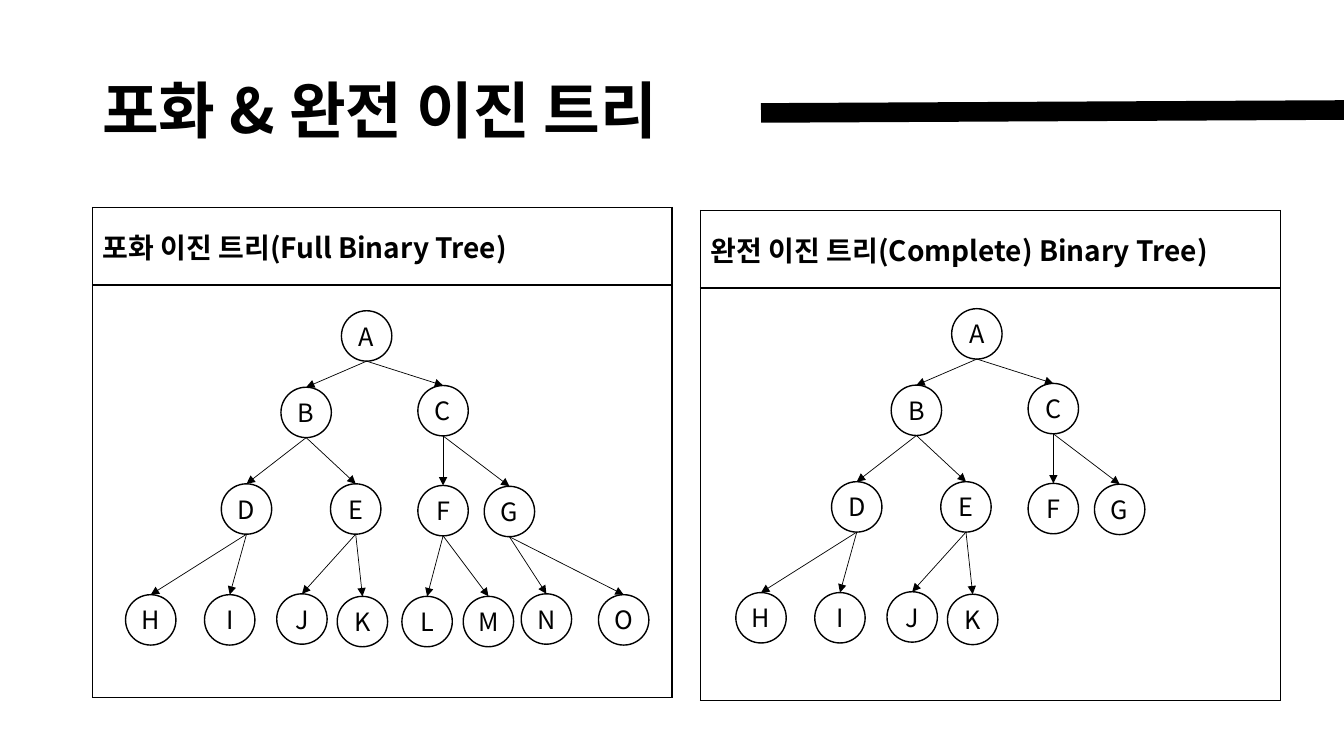
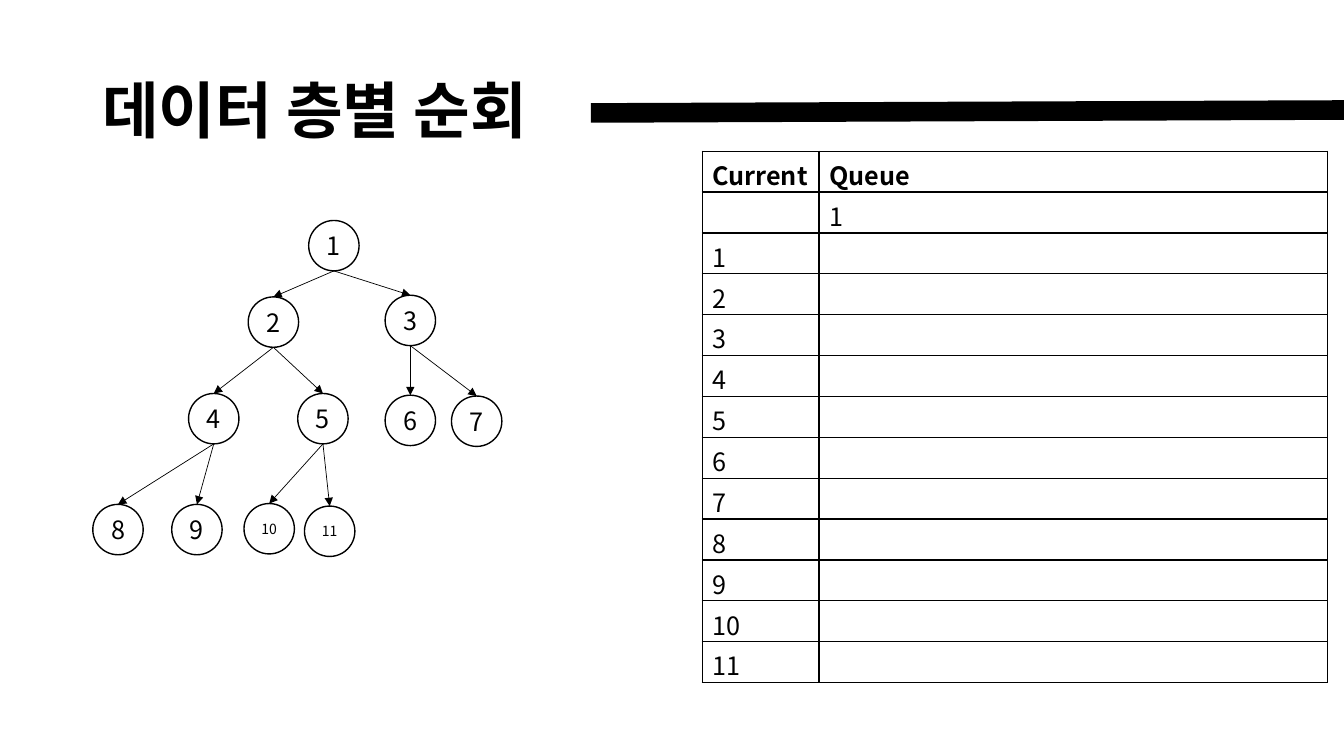
"""Build two slides on binary trees and level-order traversal."""
from dataclasses import dataclass
from typing import Any, NamedTuple

from lxml.etree import SubElement as Sub
from pptx import Presentation as Deck
from pptx.dml.color import RGBColor as Rgb
from pptx.enum.shapes import MSO_CONNECTOR as Link, MSO_SHAPE as Form
from pptx.enum.text import MSO_ANCHOR as Anchor, PP_ALIGN as Align
from pptx.oxml import parse_xml as to_xml
from pptx.oxml.ns import nsdecls, qn
from pptx.util import Emu, Inches, Pt


@dataclass(frozen=True)
class Theme:
    """Colours, type sizes and line widths."""
    ink: str = "000000"
    font: str = "Noto Sans CJK KR"
    title: float = 44
    head: float = 20
    body: float = 18
    small: float = 10
    band: float = 14
    rule: float = 1
    arrow: float = 0.5


class Spot(NamedTuple):
    """A place on the grid."""
    x: float
    y: float


class Tree(NamedTuple):
    """A heap-ordered tree whose root circle starts at a spot."""
    root: Spot
    names: list[str]


class Chart(NamedTuple):
    """A ruled table with a bold first row."""
    at: Spot
    cols: list[float]
    rows: list[float]
    data: list[list[str]]
    size: float


class Page(NamedTuple):
    """A slide's title and parts."""
    title: str
    width: float
    charts: list[Chart]
    trees: list[Tree]


LOOK = Theme()
WIDE, HIGH = Inches(13.333), Inches(7.5)
COLS = 160
LEFT = 11
NODE = 6
NODES = [Spot(*pair) for pair in (
    (0, 0), (-7.2, 9.1), (9.1, 8.9),
    (-14.3, 20.6), (-1.3, 20.6), (9.1, 20.8), (17, 20.9),
    (-25.7, 33.8), (-16.3, 33.8), (-7.7, 33.7), (-0.5, 34),
    (7.2, 34), (14.5, 34), (21.4, 33.7), (30.6, 33.8))]


def span(count: float) -> Emu:
    """Turn grid units into a length."""
    return Emu(round(WIDE * count / COLS))


def style(item: Any, form: dict[str, Any]) -> None:
    """Set each named format value."""
    for name, value in form.items():
        setattr(item, name, value)


def write(frame: Any, text: str, size: float, bold: bool = False, **form: Any) -> None:
    """Write one styled paragraph."""
    para = frame.paragraphs[0]
    style(para, form)
    run = para.add_run()
    run.text = text
    style(run.font, {"size": Pt(size), "name": LOOK.font, "bold": bold})
    run.font.color.rgb = Rgb.from_string(LOOK.ink)
    Sub(run.font._element, qn("a:ea"), typeface=LOOK.font)


def ink(line: Any, width: float) -> None:
    """Give a line its colour and width."""
    line.color.rgb = Rgb.from_string(LOOK.ink)
    line.width = Pt(width)


def join(slide: Any, start: Spot, end: Spot, width: float) -> Any:
    """Draw a straight line without shadow."""
    wire = slide.shapes.add_connector(Link.STRAIGHT, *map(span, (*start, *end)))
    ink(wire.line, width)
    Sub(wire._element.spPr, qn("a:effectLst"))
    return wire


def arrow(slide: Any, high: Any, low: Any) -> None:
    """Join the foot of one circle to the top of another."""
    wire = join(slide, Spot(0, 0), Spot(0, 0), LOOK.arrow)
    wire.begin_connect(high, 2)
    wire.end_connect(low, 0)
    wire._element.find(".//" + qn("a:stCxn")).set("idx", "4")
    Sub(wire.line._get_or_add_ln(), qn("a:tailEnd"), type="triangle")


def node(slide: Any, at: Spot, text: str) -> Any:
    """Draw a labelled circle."""
    ring = slide.shapes.add_shape(Form.OVAL, *map(span, (*at, NODE, NODE)))
    ring.shadow.inherit = False
    ring.fill.background()
    ink(ring.line, LOOK.rule)
    style(ring.text_frame, {
        "margin_left": 0, "margin_right": 0, "margin_top": 0, "margin_bottom": 0,
        "word_wrap": False, "vertical_anchor": Anchor.MIDDLE})
    size = LOOK.small if len(text) > 1 else LOOK.body
    write(ring.text_frame, text, size, alignment=Align.CENTER)
    return ring


def draw_tree(slide: Any, tree: Tree) -> None:
    """Draw the circles, each joined to its parent."""
    root = tree.root
    rings = [node(slide, Spot(root.x + step.x, root.y + step.y), name)
             for step, name in zip(NODES, tree.names)]
    for i, ring in enumerate(rings[1:]):
        arrow(slide, rings[i // 2], ring)


def edge(cell: Any) -> None:
    """Rule all four sides of a cell."""
    cell.fill.background()
    props = cell._tc.get_or_add_tcPr()
    for i, side in enumerate("LRTB"):
        props.insert(i, to_xml(
            f'<a:ln{side} {nsdecls("a")} w="{Pt(LOOK.rule)}"><a:solidFill>'
            f'<a:srgbClr val="{LOOK.ink}"/></a:solidFill></a:ln{side}>'))


def draw_chart(slide: Any, chart: Chart) -> None:
    """Draw a ruled table."""
    sizes = (sum(chart.cols), sum(chart.rows))
    table = slide.shapes.add_table(
        len(chart.rows), len(chart.cols), *map(span, (*chart.at, *sizes))).table
    style(table, {"first_row": False, "horz_banding": False})
    for col, width in zip(table.columns, chart.cols):
        col.width = span(width)
    for r, (row, height) in enumerate(zip(table.rows, chart.rows)):
        row.height = span(height)
        for cell, text in zip(row.cells, chart.data[r]):
            edge(cell)
            cell.vertical_anchor = Anchor.MIDDLE
            if text:
                write(cell.text_frame, text, chart.size, bold=r == 0)


def draw_page(deck: Any, page: Page) -> None:
    """Draw a slide with its title, band and parts."""
    slide = deck.slides.add_slide(deck.slide_layouts[6])
    box = slide.shapes.add_textbox(*map(span, (LEFT, 4.8, page.width, 17.4)))
    style(box.text_frame, {"word_wrap": True, "vertical_anchor": Anchor.MIDDLE})
    write(box.text_frame, page.title, LOOK.title, bold=True, line_spacing=0.9)
    join(slide, Spot(LEFT + page.width, 13.45), Spot(COLS, 13.1), LOOK.band)
    for chart in page.charts:
        draw_chart(slide, chart)
    for tree in page.trees:
        draw_tree(slide, tree)


def panel(x: float, y: float, text: str) -> Chart:
    """Make a titled panel for a tree."""
    return Chart(Spot(x, y), [69], [9.24, 49.08], [[text], [""]], LOOK.head)


def main() -> None:
    """Build and save the deck."""
    deck = Deck()
    style(deck, {"slide_width": WIDE, "slide_height": HIGH})
    steps = [str(i) for i in range(1, 12)]
    queue = [["Current", "Queue"], ["", "1"], *([step, ""] for step in steps)]
    pages = [
        Page("포화 & 완전 이진 트리", 79.6,
             [panel(LEFT, 24.7, "포화 이진 트리(Full Binary Tree)"),
              panel(83.4, 25.05, "완전 이진 트리(Complete) Binary Tree)")],
             [Tree(Spot(40.65, 37), list("ABCDEFGHIJKLMNO")),
              Tree(Spot(113.3, 36.75), list("ABCDEFGHIJK"))]),
        Page("데이터 층별 순회", 59.35,
             [Chart(Spot(83.6, 18), [13.9, 60.5], [4.87] * len(queue), queue, LOOK.body)],
             [Tree(Spot(36.75, 26.25), steps)]),
    ]
    for page in pages:
        draw_page(deck, page)
    deck.save("out.pptx")


if __name__ == "__main__":
    main()
